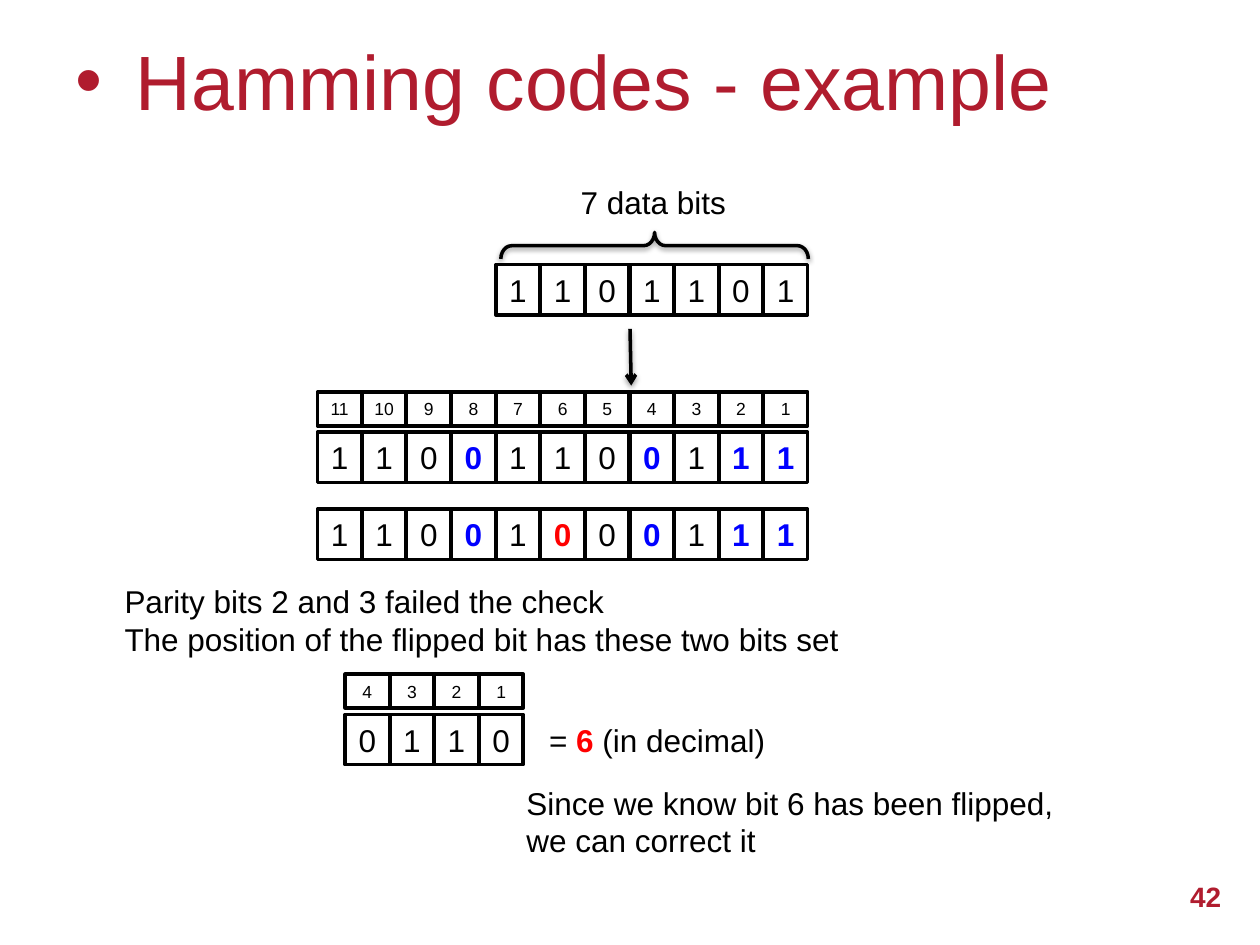
from dataclasses import dataclass

import pptx
import pptx.dml.color
import pptx.enum.shapes
import pptx.enum.text
import pptx.oxml
import pptx.oxml.ns
import pptx.util

Inches = pptx.util.Inches
Pt = pptx.util.Pt
RGBColor = pptx.dml.color.RGBColor
Align = pptx.enum.text.PP_ALIGN
Anchor = pptx.enum.text.MSO_ANCHOR
ShapeType = pptx.enum.shapes.MSO_SHAPE

BLACK = RGBColor(0, 0, 0)
WHITE = RGBColor(255, 255, 255)
BLUE = RGBColor(0, 0, 255)
RED = RGBColor(255, 0, 0)
CRIMSON = RGBColor(0xB0, 0x1C, 0x2E)

PITCH = 0.354
CELL_W = 0.35
CODE_LEFT = 2.52
DATA_LEFT = CODE_LEFT + 4 * PITCH
SYNDROME_LEFT = 2.74
PARITY = {3: BLUE, 7: BLUE, 9: BLUE, 10: BLUE}

NS = 'xmlns:a="http://schemas.openxmlformats.org/drawingml/2006/main"'
SHADOW = (
    f'<a:effectLst {NS}><a:outerShdw blurRad="39370" dist="20320" dir="5400000" '
    'rotWithShape="0"><a:srgbClr val="000000"><a:alpha val="38000"/></a:srgbClr>'
    "</a:outerShdw></a:effectLst>"
)


@dataclass(frozen=True)
class Run:
    text: str
    size: int = 18
    color: RGBColor = BLACK
    bold: bool = False


@dataclass(frozen=True)
class Label:
    box: tuple[float, float, float, float]
    paragraphs: list[list[Run]]
    align: Align = Align.LEFT
    anchor: Anchor = Anchor.TOP


@dataclass(frozen=True)
class BitRow:
    left: float
    top: float
    values: list[str]
    marks: dict[int, RGBColor]
    height: float = 0.4
    size: int = 18


LABELS = [
    Label((9.02, 6.85, 0.77, 0.52), [[Run("42", 16, CRIMSON, True)]],
          Align.RIGHT, Anchor.MIDDLE),
    Label((4.51, 1.4, 1.36, 0.4), [[Run("7 data bits")]]),
    Label((0.89, 4.57, 5.93, 1.01), [
        [Run("Parity bits 2 and 3 failed the check")],
        [Run("The position of the flipped bit has these two bits set")],
    ]),
    Label((4.26, 5.67, 2, 0.4),
          [[Run("= "), Run("6", color=RED, bold=True), Run(" (in decimal)")]]),
    Label((4.08, 6.17, 4.38, 0.71),
          [[Run("Since we know bit 6 has been flipped, we can correct it")]]),
]
TITLE = Label((0.5, 0.01, 9, 1.25), [[Run("Hamming codes - example", 44, CRIMSON)]],
              anchor=Anchor.MIDDLE)


def positions(count: int) -> list[str]:
    return [str(n) for n in range(count, 0, -1)]


ROWS = [
    BitRow(DATA_LEFT, 2.1, list("1101101"), {}),
    BitRow(CODE_LEFT, 3.11, positions(11), {}, 0.27, 10),
    BitRow(CODE_LEFT, 3.43, list("11001100111"), PARITY),
    BitRow(CODE_LEFT, 4.04, list("11001000111"), PARITY | {5: RED}),
    BitRow(SYNDROME_LEFT, 5.35, positions(4), {}, 0.27, 10),
    BitRow(SYNDROME_LEFT, 5.67, list("0110"), {}),
]


def add_run(p, run: Run) -> None:
    r = p.add_run()
    r.text = run.text
    fmt = {"name": "Arial", "size": Pt(run.size), "bold": run.bold}
    for name, value in fmt.items():
        setattr(r.font, name, value)
    r.font.color.rgb = run.color


def add_label(slide, label: Label):
    sp = slide.shapes.add_textbox(*map(Inches, label.box))
    tf = sp.text_frame
    for name, value in {"word_wrap": True, "vertical_anchor": label.anchor}.items():
        setattr(tf, name, value)
    for i, runs in enumerate(label.paragraphs):
        p = tf.add_paragraph() if i else tf.paragraphs[0]
        p.alignment = label.align
        for run in runs:
            add_run(p, run)
    return sp


def add_title(slide) -> None:
    pPr = add_label(slide, TITLE).text_frame.paragraphs[0]._p.get_or_add_pPr()
    pPr.set("marL", str(Inches(0.48)))
    pPr.set("indent", str(Inches(-0.48)))
    for xml in (f'<a:buFont {NS} typeface="Arial"/>', f'<a:buChar {NS} char="•"/>'):
        pPr.append(pptx.oxml.parse_xml(xml))


def set_outline(sp) -> None:
    sp.line.color.rgb = BLACK
    sp.line.width = Pt(2)


def add_row(slide, row: BitRow) -> None:
    shapes = slide.shapes.add_group_shape().shapes
    for i, value in enumerate(row.values):
        sp = shapes.add_shape(
            ShapeType.RECTANGLE, Inches(row.left + i * PITCH), Inches(row.top),
            Inches(CELL_W), Inches(row.height))
        sp.shadow.inherit = False
        sp.fill.solid()
        sp.fill.fore_color.rgb = WHITE
        set_outline(sp)
        tf = sp.text_frame
        fmt = {"margin_left": 0, "margin_right": 0, "margin_top": 0,
               "margin_bottom": 0, "vertical_anchor": Anchor.MIDDLE}
        for name, attr in fmt.items():
            setattr(tf, name, attr)
        p = tf.paragraphs[0]
        p.alignment = Align.CENTER
        add_run(p, Run(value, row.size, row.marks.get(i, BLACK), i in row.marks))


def add_brace(slide) -> None:
    sp = slide.shapes.add_shape(
        ShapeType.LEFT_BRACE, Inches(5.09), Inches(0.73), Inches(0.21), Inches(2.44))
    sp.rotation = 90
    sp.adjustments[0] = 0.41
    sp.fill.background()
    set_outline(sp)
    sp._element.spPr.append(pptx.oxml.parse_xml(SHADOW))


def add_arrow(slide) -> None:
    sp = slide.shapes.add_connector(
        pptx.enum.shapes.MSO_CONNECTOR.STRAIGHT,
        Inches(5), Inches(2.61), Inches(5.01), Inches(3.06))
    set_outline(sp)
    ln = sp._element.spPr.find(pptx.oxml.ns.qn("a:ln"))
    ln.append(pptx.oxml.parse_xml(f'<a:tailEnd {NS} type="arrow"/>'))
    sp._element.spPr.append(pptx.oxml.parse_xml(SHADOW))


def main() -> None:
    prs = pptx.Presentation()
    prs.slide_width, prs.slide_height = Inches(10), Inches(7.5)
    slide = prs.slides.add_slide(prs.slide_layouts[6])
    add_title(slide)
    for row in ROWS:
        add_row(slide, row)
    add_brace(slide)
    add_arrow(slide)
    for label in LABELS:
        add_label(slide, label)
    prs.save("out.pptx")


if __name__ == "__main__":
    main()
